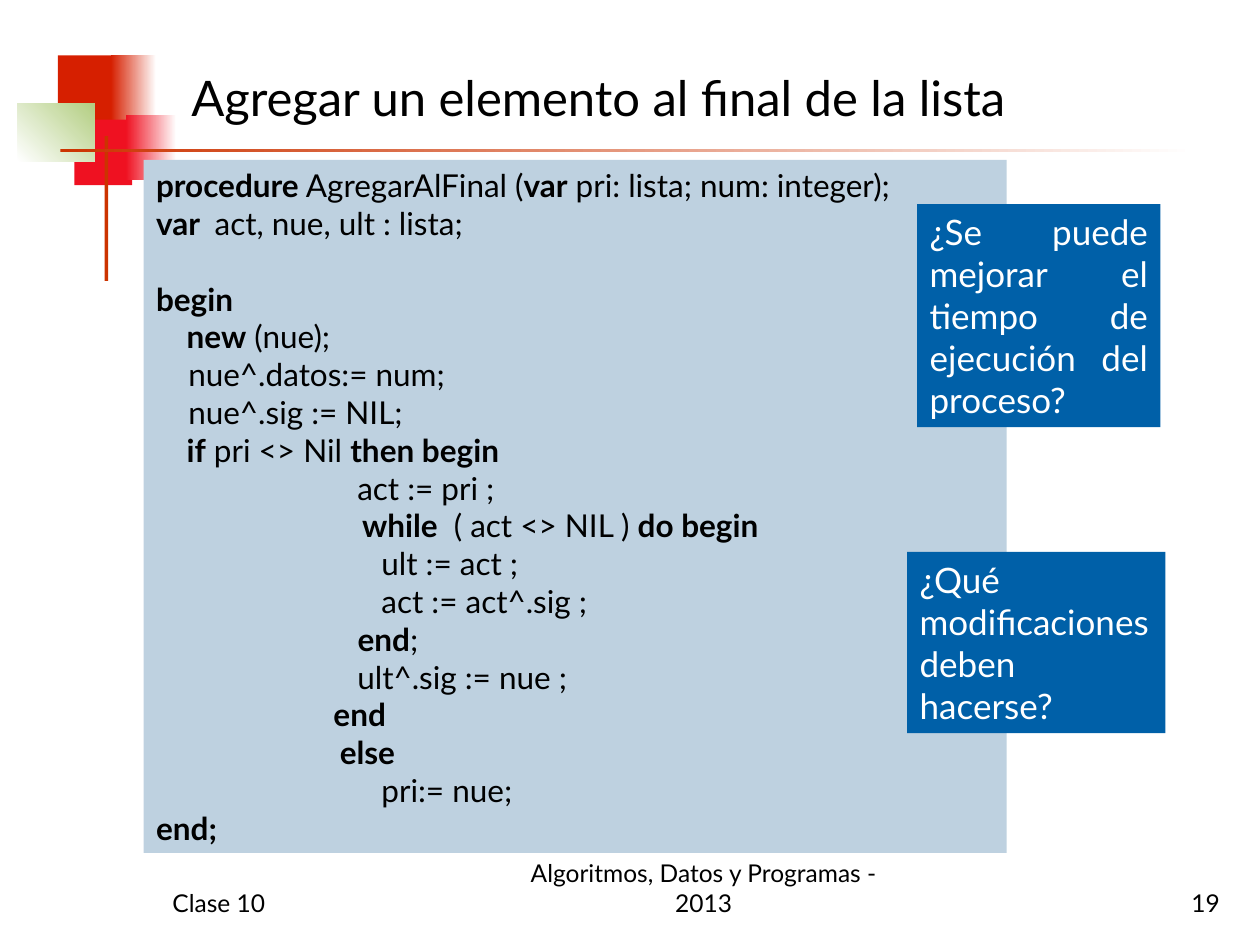
from pptx import Presentation
from pptx.dml.color import RGBColor
from pptx.enum.shapes import MSO_SHAPE
from pptx.enum.text import MSO_ANCHOR, MSO_AUTO_SIZE, PP_ALIGN
from pptx.util import Inches, Pt

FONT = "Lato"
COLORS = {
    "black": "000000", "white": "FFFFFF", "scarlet": "D61F00",
    "crimson": "EF1121", "green": "B3CE82", "rule": "CC3300",
    "code": "BED1E0", "question": "0060A8",
}

# Asterisks enclose the bold parts of a line
CODE = """\
*procedure* AgregarAlFinal (*var* pri: lista; num: integer);
*var  *act, nue, ult : lista;

*begin*
*    new* (nue);
    nue^.datos:= num;
    nue^.sig := NIL;
*    if* pri <> Nil *then begin*
                         act := pri ;
*                           while*  ( act <> NIL ) *do begin*
                            ult := act ;
                            act := act^.sig ;
                         *end*;
                         ult^.sig := nue ;
                      *end*
*                        else*
                            pri:= nue;
*end;*"""


def color(name):
    return RGBColor.from_string(COLORS[name])


def add_text(slide, box, text, size=14, ink="black", fill=None,
             align=PP_ALIGN.LEFT, anchor=MSO_ANCHOR.TOP, grow=False, blank_height=0):
    """Write lines of text; an empty line becomes space before the next one."""
    panel = slide.shapes.add_textbox(*map(Inches, box))
    if fill:
        panel.fill.solid()
        panel.fill.fore_color.rgb = color(fill)
    frame = panel.text_frame
    frame.word_wrap = True
    frame.auto_size = MSO_AUTO_SIZE.SHAPE_TO_FIT_TEXT if grow else MSO_AUTO_SIZE.NONE
    frame.vertical_anchor = anchor
    gap = 0
    paragraph = frame.paragraphs[0]
    for number, line in enumerate(text.split("\n")):
        if not line:
            gap += blank_height
            continue
        if number:
            paragraph = frame.add_paragraph()
        paragraph.alignment = align
        paragraph.space_before = Pt(gap)
        gap = 0
        for index, part in enumerate(line.split("*")):
            if part:
                run = paragraph.add_run()
                run.text = part
                run.font.name = FONT
                run.font.size = Pt(size)
                run.font.bold = index % 2 == 1
                run.font.color.rgb = color(ink)


def add_block(slide, box, start, end=None, angle=0):
    block = slide.shapes.add_shape(MSO_SHAPE.RECTANGLE, *map(Inches, box))
    block.shadow.inherit = False
    block.line.fill.background()
    if end is None:
        block.fill.solid()
        block.fill.fore_color.rgb = color(start)
        return
    block.fill.gradient()
    block.fill.gradient_angle = angle
    for stop, name in zip(block.fill.gradient_stops, (start, end)):
        stop.color.rgb = color(name)


def add_ornament(slide, box):
    left, top, width, height = box
    # Overlapping squares, each solid one fading out to its right
    square = 0.52
    add_block(slide, (left + 0.32, top, 0.48, square), "scarlet")
    add_block(slide, (left + 0.74, top, 0.36, square), "scarlet", "white")
    add_block(slide, (left + 0.45, top + 0.51, 0.46, square), "crimson")
    add_block(slide, (left + 0.86, top + 0.47, 0.4, square), "crimson", "white")
    add_block(slide, (left, top + 0.38, 0.61, 0.46), "white", "green", angle=45)
    # Crossing rules
    rule = 0.03
    add_block(slide, (left + 0.69, top + 0.64, rule, height - 0.64), "rule")
    add_block(slide, (left + 0.34, top + 0.74, width - 0.34, rule), "rule", "white")


def add_footer(slide, box):
    left, top, width, height = box
    side, middle = 2.08, 3.17
    entries = (
        (0, side, "Clase 10", PP_ALIGN.LEFT),
        (2.73, middle, "Algoritmos, Datos y Programas - 2013", PP_ALIGN.CENTER),
        (width - side, side, "19", PP_ALIGN.RIGHT),
    )
    for offset, entry_width, text, align in entries:
        add_text(slide, (left + offset, top, entry_width, height), text,
                 align=align, anchor=MSO_ANCHOR.BOTTOM)


def add_code(slide, box):
    add_text(slide, box, CODE, size=18, fill="code", grow=True, blank_height=21.6)


def add_question(slide, box, text):
    add_text(slide, box, text, size=20, ink="white", fill="question",
             align=PP_ALIGN.JUSTIFY, grow=True)


def add_title(slide, box):
    add_text(slide, box, "Agregar un elemento al final de la lista", size=28,
             anchor=MSO_ANCHOR.MIDDLE)


def main():
    deck = Presentation()
    deck.slide_width, deck.slide_height = Inches(10), Inches(7.5)
    slide = deck.slides.add_slide(deck.slide_layouts[6])
    add_ornament(slide, (0.14, 0.44, 9.34, 1.79))
    add_footer(slide, (1.27, 6.83, 8.51, 0.5))
    add_code(slide, (1.14, 1.27, 6.85, 5.5))
    add_question(slide, (7.28, 1.62, 1.93, 1.77),
                 "¿Se puede mejorar el tiempo de ejecución del proceso?")
    add_question(slide, (7.2, 4.38, 2.05, 1.44),
                 "¿Qué modificaciones deben hacerse?")
    add_title(slide, (1.42, 0.21, 8.28, 1.12))
    deck.save("out.pptx")


if __name__ == "__main__":
    main()
